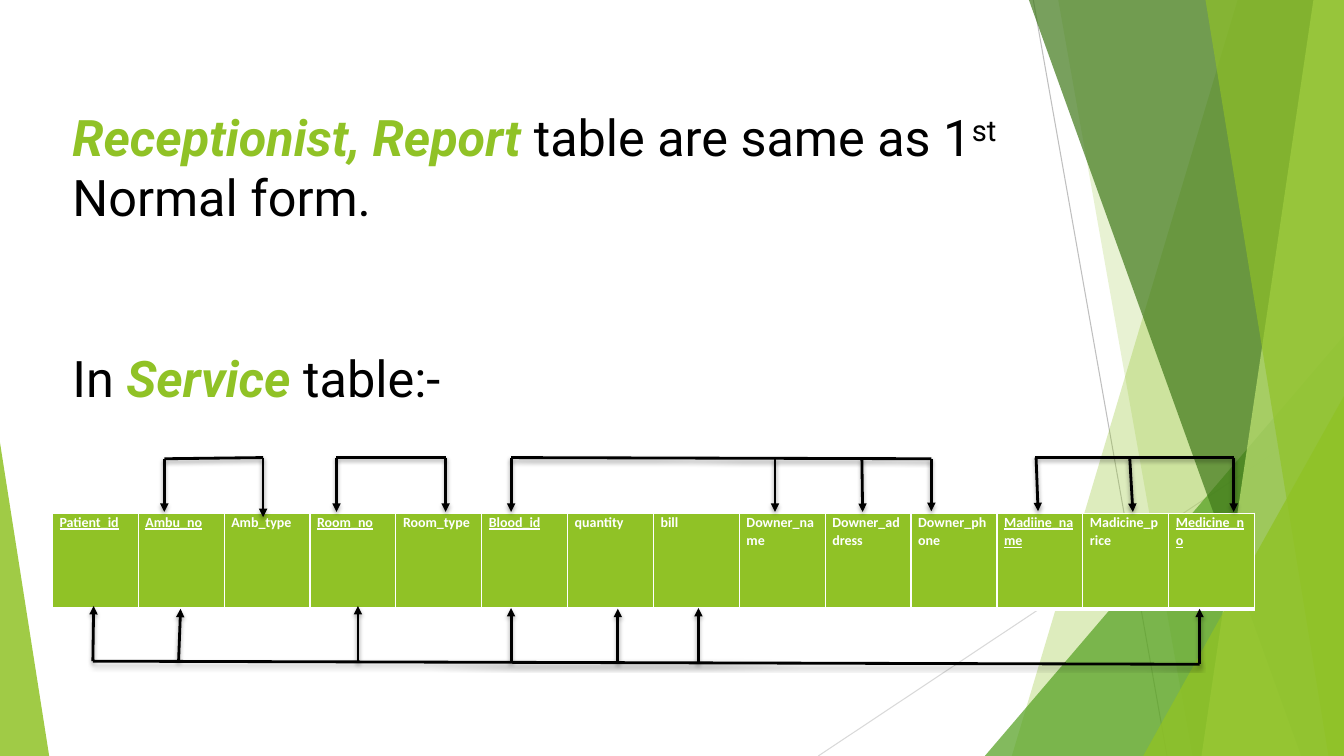
"""Build the slide on the keys of the service table."""
import pptx
import pptx.dml.color
import pptx.enum.shapes
import pptx.enum.text
import pptx.oxml
import pptx.oxml.ns
import pptx.util

Cm = pptx.util.Cm
Pt = pptx.util.Pt
RGBColor = pptx.dml.color.RGBColor
Shape = pptx.enum.shapes.MSO_SHAPE

GREEN = RGBColor(0x90, 0xC2, 0x26)
MID = RGBColor(0x54, 0xA0, 0x21)
DARK = RGBColor(0x3F, 0x78, 0x19)
PALE = RGBColor(0xC0, 0xE4, 0x74)
BLACK = RGBColor(0, 0, 0)
WHITE = RGBColor(0xFF, 0xFF, 0xFF)
GREY = RGBColor(0xBF, 0xBF, 0xBF)
SILVER = RGBColor(0xD9, 0xD9, 0xD9)

WIDE, HIGH = 33.87, 19.05
NAMES = ["Patient_id", "Ambu_no", "Amb_type", "Room_no", "Room_type",
         "Blood_id", "quantity", "bill", "Downer_name", "Downer_address",
         "Downer_phone", "Madiine_name", "Madicine_price", "Medicine_no"]
KEYS = {"Patient_id", "Ambu_no", "Room_no", "Blood_id", "Madiine_name",
        "Medicine_no"}
BARS = [
    ((2.34, 16.66, 30.23, 16.74),
     [(2.34, 2.36, 15.27), (4.5, 4.55, 15.34), (9.02, 9.02, 15.27),
      (12.88, 12.88, 15.32), (15.57, 15.57, 15.34), (17.6, 17.6, 15.32),
      (30.23, 30.23, 15.34)]),
    ((4.14, 11.56, 6.63, 11.53), [(4.14, 4.14, 12.9), (6.63, 6.63, 13.03)]),
    ((8.48, 11.53, 11.23, 11.53), [(8.48, 8.48, 12.9), (11.23, 11.23, 12.9)]),
    ((12.88, 11.53, 23.47, 11.56),
     [(12.88, 12.88, 12.9), (19.53, 19.53, 12.9), (21.72, 21.74, 12.9),
      (23.47, 23.47, 12.88)]),
    ((26.09, 11.53, 31.09, 11.53),
     [(26.11, 26.16, 12.88), (28.47, 28.55, 12.9), (31.09, 31.09, 12.9)]),
]


def make(tag, inner=""):
    """Return a new drawing element."""
    space = pptx.oxml.ns.nsdecls("a")
    return pptx.oxml.parse_xml(f"<a:{tag} {space}>{inner}</a:{tag}>")


def paint(shape, tint, share):
    """Fill a shape with a tint that covers a share of what lies below."""
    shape.shadow.inherit = False
    shape.line.fill.background()
    shape.fill.solid()
    shape.fill.fore_color.rgb = tint
    clear = make("alpha")
    clear.set("val", str(share * 1000))
    shape.fill._xPr.find(".//" + pptx.oxml.ns.qn("a:srgbClr")).append(clear)


def add_band(slide, top, base, tint, share):
    """Add a band that runs from two slanted points to the right edge."""
    path = slide.shapes.build_freeform(Cm(top), 0)
    path.add_line_segments([(Cm(WIDE), 0), (Cm(WIDE), Cm(HIGH)),
                            (Cm(base), Cm(HIGH))])
    paint(path.convert_to_shape(), tint, share)


def add_wedge(slide, left, top, width, peak, tint, share):
    """Add a triangle that stands on the lower edge."""
    wedge = slide.shapes.add_shape(Shape.ISOSCELES_TRIANGLE, Cm(left), Cm(top),
                                   Cm(width), Cm(HIGH - top))
    wedge.adjustments[0] = peak
    paint(wedge, tint, share)


def add_line(slide, ends, tint, size, shade=""):
    """Add a straight line between two points."""
    line = slide.shapes.add_connector(
        pptx.enum.shapes.MSO_CONNECTOR.STRAIGHT, *map(Cm, ends))
    line.line.color.rgb = tint
    line.line.width = Pt(size)
    line._element.spPr.append(make("effectLst", shade))
    return line


def add_bar(slide, ends, tips):
    """Add a bar and the arrows that leave it."""
    shade = ('<a:outerShdw blurRad="38100" dist="25400" dir="5400000" '
             'rotWithShape="0"><a:srgbClr val="000000">'
             '<a:alpha val="35000"/></a:srgbClr></a:outerShdw>')
    add_line(slide, ends, BLACK, 2, shade)
    left, start, right, end = ends
    for foot, tip, reach in tips:
        base = start + (end - start) * (foot - left) / (right - left)
        arrow = add_line(slide, (foot, base, tip, reach), BLACK, 2, shade)
        head = make("tailEnd")
        head.set("type", "triangle")
        arrow.line._get_or_add_ln().append(head)


def add_decor(slide):
    """Add the green bands at the slide edges."""
    add_line(slide, (26.04, 0, 29.41, HIGH), GREY, 0.75)
    add_line(slide, (WIDE, 10.24, 20.62, HIGH), SILVER, 0.75)
    add_band(slide, 31.19, 25.5, GREEN, 30)
    add_band(slide, 26.67, 30.05, GREEN, 20)
    add_wedge(slide, 24.82, 8.46, 9.05, 1, MID, 72)
    add_band(slide, 25.93, 32.79, DARK, 70)
    add_band(slide, 33.1, 30.28, PALE, 70)
    add_band(slide, 30.38, 33.48, GREEN, 65)
    add_wedge(slide, 28.81, 9.98, 5.06, 1, GREEN, 80)
    add_wedge(slide, 0, 11.15, 1.24, 0, GREEN, 85)


def add_words(para, parts):
    """Write plain and marked parts into a title paragraph."""
    para.alignment = pptx.enum.text.PP_ALIGN.LEFT
    para.font.size = Pt(36)
    para.font.name = "Roboto"
    for text, marked in parts:
        run = para.add_run()
        run.text = text
        run.font.bold = run.font.italic = marked
        run.font.color.rgb = GREEN if marked else BLACK


def add_title(slide):
    """Place and fill the title."""
    title = slide.shapes.title
    slide.shapes._spTree.append(title._element)
    title.left, title.top = Cm(1.57), Cm(2.54)
    title.width, title.height = Cm(28.27), Cm(13.77)
    frame = title.text_frame
    frame.word_wrap = True
    frame.auto_size = pptx.enum.text.MSO_AUTO_SIZE.NONE
    frame.vertical_anchor = pptx.enum.text.MSO_ANCHOR.TOP
    frame.margin_right = Cm(0.8)
    first = frame.paragraphs[0]
    add_words(first, [("Receptionist, Report ", True),
                      ("table are same as 1", False), ("st", False),
                      (" Normal form.", False)])
    first.runs[2]._r.get_or_add_rPr().set("baseline", "30000")
    last = frame.add_paragraph()
    last.space_before = Pt(86)
    add_words(last, [("In", False), (" Service ", True), ("table:-", False)])


def edge_cell(cell):
    """Draw white borders round a cell."""
    props = cell._tc.get_or_add_tcPr()
    sides = [("lnL", 1), ("lnR", 1), ("lnT", 1), ("lnB", 3)]
    for place, (tag, size) in enumerate(sides):
        edge = make(tag, '<a:solidFill><a:srgbClr val="FFFFFF"/></a:solidFill>')
        edge.set("w", str(Pt(size)))
        props.insert(place, edge)


def add_grid(slide):
    """Add the one-row table of field names."""
    grid = slide.shapes.add_table(1, len(NAMES), Cm(1.32), Cm(12.93),
                                  Cm(30.3), Cm(2.41)).table
    for cell, name in zip(grid.rows[0].cells, NAMES):
        cell.text = name
        cell.margin_left = cell.margin_right = Cm(0.18)
        cell.margin_top = cell.margin_bottom = 0
        cell.fill.solid()
        cell.fill.fore_color.rgb = GREEN
        edge_cell(cell)
        para = cell.text_frame.paragraphs[0]
        para.line_spacing = 1.07
        font = para.font
        font.name, font.size, font.bold = "Calibri", Pt(10), True
        font.underline = name in KEYS
        font.color.rgb = WHITE


def main():
    """Build and save the slide."""
    deck = pptx.Presentation()
    deck.slide_width, deck.slide_height = Cm(WIDE), Cm(HIGH)
    slide = deck.slides.add_slide(deck.slide_layouts[5])
    add_decor(slide)
    add_title(slide)
    add_grid(slide)
    for ends, tips in BARS:
        add_bar(slide, ends, tips)
    deck.save("out.pptx")


if __name__ == "__main__":
    main()
